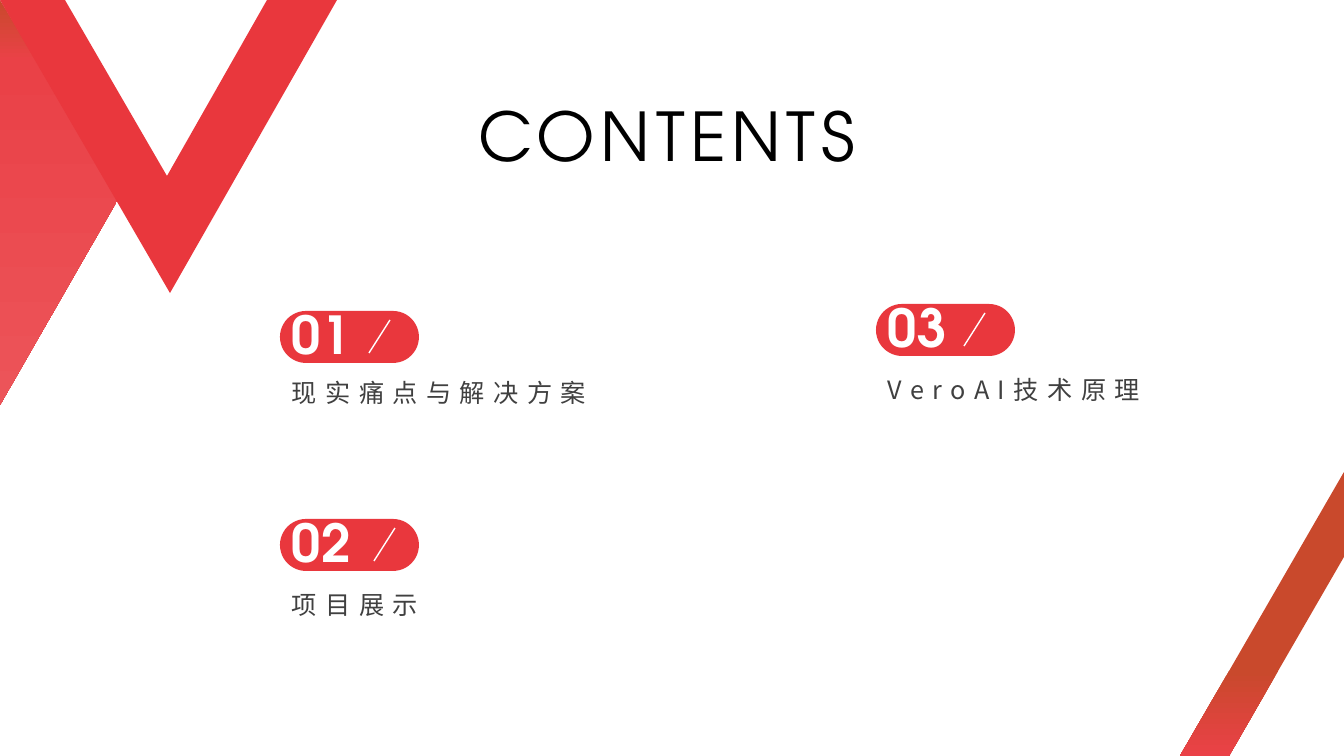
from copy import deepcopy
from dataclasses import dataclass

from lxml.etree import SubElement
from pptx import Presentation
from pptx.dml.color import RGBColor
from pptx.enum.shapes import MSO_CONNECTOR, MSO_SHAPE
from pptx.enum.text import MSO_ANCHOR, MSO_AUTO_SIZE, PP_ALIGN
from pptx.oxml.ns import qn
from pptx.util import Pt

PX = 9071
PAGE_WIDTH, PAGE_HEIGHT = 1344, 756


@dataclass(frozen=True)
class Theme:
    """Colours, fonts and type styles of the deck."""
    red: str = "E9373D"
    bright: str = "EA4147"
    pale: str = "EC5459"
    rust: str = "C9492C"
    white: str = "FFFFFF"
    title: tuple = ("TeX Gyre Adventor", 48, "000000", False, 4)
    number: tuple = ("TeX Gyre Adventor", 37.4, "FFFFFF", True, 0)
    label: tuple = ("Noto Sans CJK JP", 18, "404040", False, 6)


@dataclass(frozen=True)
class Entry:
    """One line of the contents, with its place and its spacing."""
    number: str
    label: str
    left: int
    top: int
    label_width: int
    label_drop: int
    slash_shift: int


THEME = Theme()
ENTRIES = [
    Entry("01", "现实痛点与解决方案", 280, 311, 326, 61, 89),
    Entry("02", "项目展示", 280, 519, 156, 65, 94),
    Entry("03", "VeroAI技术原理", 876, 304, 295, 65, 88),
]


def scaled(*lengths):
    """Turn px lengths into EMU."""
    return [length * PX for length in lengths]


def write_text(box, text, style):
    """Write one unwrapped, left-aligned line in the given type style."""
    name, size, colour, bold, spacing = style
    frame = box.text_frame
    frame_format = {"word_wrap": False, "auto_size": MSO_AUTO_SIZE.NONE,
                    "vertical_anchor": MSO_ANCHOR.TOP}
    for key, value in frame_format.items():
        setattr(frame, key, value)
    para = frame.paragraphs[0]
    para.alignment = PP_ALIGN.LEFT
    span = para.add_run()
    span.text = text
    for key, value in {"name": name, "size": Pt(size), "bold": bold}.items():
        setattr(span.font, key, value)
    span.font.color.rgb = RGBColor.from_string(colour)
    properties = span.font._element
    properties.set("spc", str(spacing * 100))
    SubElement(properties, qn("a:ea")).set("typeface", name)


def paint(shape, colour):
    """Give a shape a plain fill without line or shadow."""
    shape.shadow.inherit = False
    shape.line.fill.background()
    shape.fill.solid()
    shape.fill.fore_color.rgb = RGBColor.from_string(colour)


def paint_gradient(shape, stops):
    """Give a shape a gradient of three stops from top to bottom."""
    paint(shape, stops[0][1])
    shape.fill.gradient()
    shape.fill.gradient_angle = 270
    stop_list = shape._element.spPr.find(qn("a:gradFill")).find(qn("a:gsLst"))
    stop_list.append(deepcopy(stop_list[-1]))
    for stop, (position, colour) in zip(shape.fill.gradient_stops, stops):
        stop.position = position
        stop.color.rgb = RGBColor.from_string(colour)


def add_polygon(page, points):
    """Add a closed outline through the given px points."""
    builder = page.shapes.build_freeform(*points[0], scale=PX)
    builder.add_line_segments(points[1:], close=True)
    return builder.convert_to_shape()


def add_heading(page, left, top, width, height):
    """Place the slide title in its box."""
    title = page.shapes.title
    place = dict(zip(("left", "top", "width", "height"),
                     scaled(left, top, width, height)))
    for key, value in place.items():
        setattr(title, key, value)
    write_text(title, "CONTENTS", THEME.title)


def add_corner_mark(page, left, top):
    """Draw the shaded wedge and the red V from the given corner."""
    wedge = [(0, 0), (117, 201), (0, 405)]
    letter = [(0, 0), (65, 0), (167, 176), (267, 0), (337, 0), (170, 293)]
    shade, mark = [
        add_polygon(page, [(left + x, top + y) for x, y in outline])
        for outline in (wedge, letter)]
    paint_gradient(shade, [(0, THEME.rust), (0.15, THEME.bright), (1, THEME.pale)])
    paint(mark, THEME.red)


def add_corner_band(page, right, bottom):
    """Draw the slanted band that ends in the given corner."""
    outline = [(0, -284), (0, -199), (-115, 0), (-164, 0)]
    band = add_polygon(page, [(right + x, bottom + y) for x, y in outline])
    paint_gradient(band, [(0, THEME.rust), (0.7, THEME.rust), (1, THEME.bright)])


def add_entry(page, entry):
    """Place a numbered pill, its slash and the label below it."""
    left, top = entry.left, entry.top
    pill = page.shapes.add_shape(MSO_SHAPE.ROUNDED_RECTANGLE,
                                 *scaled(left, top, 139, 52))
    pill.adjustments[0] = 0.5
    paint(pill, THEME.red)
    number = page.shapes.add_textbox(*scaled(left + 2, top - 14, 78, 74))
    write_text(number, entry.number, THEME.number)
    foot = left + entry.slash_shift
    slash = page.shapes.add_connector(
        MSO_CONNECTOR.STRAIGHT, *scaled(foot + 21, top + 9, foot, top + 42))
    slash.line.width = Pt(1)
    slash.line.color.rgb = RGBColor.from_string(THEME.white)
    SubElement(slash._element.spPr, qn("a:effectLst"))
    label = page.shapes.add_textbox(
        *scaled(left + 2, top + entry.label_drop, entry.label_width, 40))
    write_text(label, entry.label, THEME.label)


def add_contents_page(deck):
    """Build the contents page."""
    page = deck.slides.add_slide(deck.slide_layouts[5])
    add_corner_mark(page, 0, 0)
    add_corner_band(page, PAGE_WIDTH, PAGE_HEIGHT)
    add_heading(page, 468, 89, 408, 92)
    for entry in ENTRIES:
        add_entry(page, entry)


def main():
    """Build and save the deck."""
    deck = Presentation()
    deck.slide_width, deck.slide_height = scaled(PAGE_WIDTH, PAGE_HEIGHT)
    add_contents_page(deck)
    deck.save("out.pptx")


if __name__ == "__main__":
    main()
